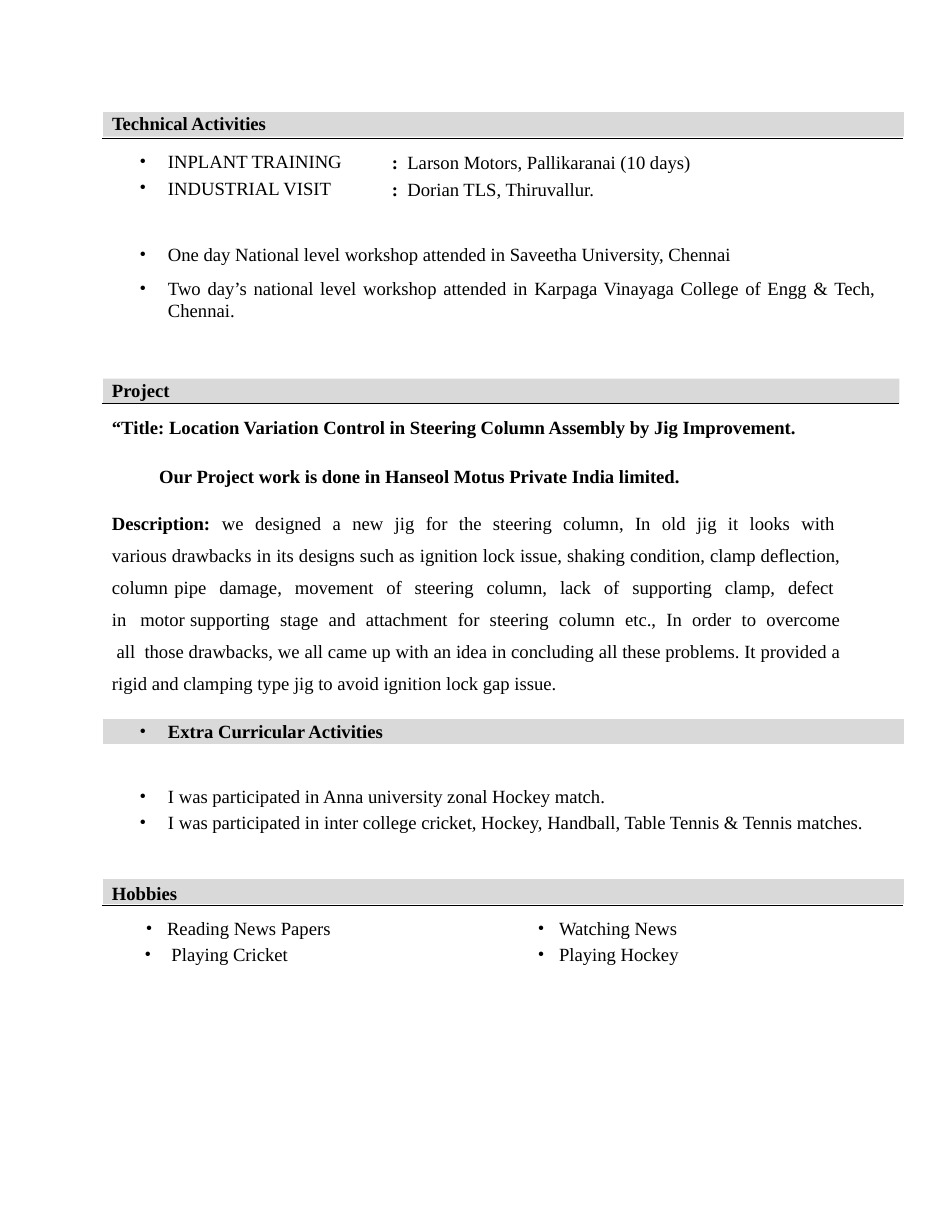
import pptx
import pptx.util
import pptx.dml.color
import pptx.enum.shapes
import pptx.enum.text
import pptx.oxml.ns
import lxml.etree
from dataclasses import dataclass

Cm, Pt = pptx.util.Cm, pptx.util.Pt
RGB = pptx.dml.color.RGBColor
ALIGN = pptx.enum.text.PP_ALIGN
ANCHOR = pptx.enum.text.MSO_ANCHOR
qn = pptx.oxml.ns.qn


@dataclass
class Theme:
    font: str = "Times New Roman"
    size: float = 12
    rule_width: float = 0.48
    ink: RGB = RGB(0, 0, 0)
    band: RGB = RGB(0xD9, 0xD9, 0xD9)


theme = Theme()


def write(tf, lines, indent=0.2, hang=0.0, bullet=True, before=0.0, bold=False,
          lead="", align=ALIGN.LEFT):
    """Fill a frame; hang is the hanging indent, lead a bold opening on each line."""
    tf.margin_left = tf.margin_right = tf.margin_top = tf.margin_bottom = 0
    tf.word_wrap = True
    tf.auto_size = pptx.enum.text.MSO_AUTO_SIZE.NONE
    for i, line in enumerate(lines):
        p = tf.paragraphs[0] if i == 0 else tf.add_paragraph()
        p.alignment = align
        p.space_before = Pt(before if i else 0)
        for text, heavy in ((lead, True), (line, bold)):
            if text:
                r = p.add_run()
                r.text = text
                r.font.name, r.font.size = theme.font, Pt(theme.size)
                r.font.bold, r.font.color.rgb = heavy, theme.ink
                r._r.get_or_add_rPr().set("kern", "0")
        pPr = p._p.get_or_add_pPr()
        pPr.set("marL", str(Cm(indent)))
        pPr.set("indent", str(-Cm(hang)))
        if hang and bullet:
            lxml.etree.SubElement(pPr, qn("a:buFont")).set("typeface", theme.font)
            lxml.etree.SubElement(pPr, qn("a:buChar")).set("char", "•")
        else:
            lxml.etree.SubElement(pPr, qn("a:buNone"))


def add_text(left, top, width, height, lines, **style):
    tf = s.shapes.add_textbox(Cm(left), Cm(top), Cm(width), Cm(height)).text_frame
    write(tf, lines, **style)
    return tf


prs = pptx.Presentation()
prs.slide_width, prs.slide_height = Cm(21.59), Cm(27.94)
s = prs.slides.add_slide(prs.slide_layouts[5])

# Section bands: heading, top, width, bulleted, gap to the rule, anchor
left, band_height = 2.34, 0.56
sections = [
    ("Technical Activities", 2.54, 18.16, False, 0.6, ANCHOR.TOP),
    ("Project", 8.59, 18.06, False, 0.55, ANCHOR.TOP),
    ("Extra Curricular Activities", 16.31, 18.16, True, None, ANCHOR.MIDDLE),
    ("Hobbies", 19.94, 18.16, False, 0.6, ANCHOR.BOTTOM),
]
for heading, top, width, bulleted, gap, anchor in sections:
    if heading == sections[0][0]:
        sp = s.shapes.title
        sp.left, sp.top, sp.width, sp.height = Cm(left), Cm(top), Cm(width), Cm(band_height)
    else:
        sp = s.shapes.add_shape(pptx.enum.shapes.MSO_SHAPE.RECTANGLE,
                                Cm(left), Cm(top), Cm(width), Cm(band_height))
        sp.shadow.inherit = False
    sp.fill.solid()
    sp.fill.fore_color.rgb = theme.band
    sp.line.fill.background()
    write(sp.text_frame, [heading], bold=True,
          indent=1.47 if bulleted else 0.2, hang=0.64 if bulleted else 0)
    sp.text_frame.vertical_anchor = anchor
    if gap:
        y = Cm(top + gap)
        rule = s.shapes.add_connector(pptx.enum.shapes.MSO_CONNECTOR.STRAIGHT,
                                      Cm(left - 0.03), y, Cm(left + width - 0.02), y)
        rule.line.color.rgb = theme.ink
        rule.line.width = Pt(theme.rule_width)
        lxml.etree.SubElement(rule._element.spPr, qn("a:effectLst"))

# Technical activities
add_text(3.15, 3.41, 4.67, 1.12, ["INPLANT TRAINING", "INDUSTRIAL VISIT"],
         indent=0.66, hang=0.64, before=2.4)
add_text(8.86, 3.43, 7.5, 1.1,
         ["\tLarson Motors, Pallikaranai (10 days)", "\tDorian TLS, Thiruvallur."],
         indent=0.38, hang=0.35, bullet=False, before=2.4, lead=":")
tf = add_text(3.15, 5.51, 16.73, 1.78,
              ["One day National level workshop attended in Saveetha University, Chennai",
               "Two day’s national level workshop attended in Karpaga Vinayaga College "
               "of Engg & Tech, Chennai."],
              indent=0.66, hang=0.64, before=8.3, align=ALIGN.JUSTIFY)
tf.paragraphs[1].line_spacing = Pt(13.7)

# Project title, host and description
add_text(left, 9.44, 18.06, 0.5,
         ["“Title: Location Variation Control in Steering Column Assembly "
          "by Jig Improvement."], bold=True)
add_text(left, 10.55, 18.06, 0.5,
         ["Our Project work is done in Hanseol Motus Private India limited."],
         indent=1.27, bold=True)
description = (
    "we  designed  a  new  jig  for  the  steering  column,  In  old  jig  it  looks  with  "
    "various drawbacks in its designs such as ignition lock issue, shaking condition, "
    "clamp deflection, column pipe  damage,  movement  of  steering  column,  lack  of  "
    "supporting  clamp,  defect  in\u00a0\u00a0\u00a0motor supporting  stage  and  "
    "attachment  for  steering  column  etc.,  In  order  to  overcome "
    "\u00a0all\u00a0\u00a0those drawbacks, we all came "
    "up with an idea in concluding all these problems. It provided a rigid and clamping "
    "type jig to avoid ignition lock gap issue.")
tf = add_text(left, 11.39, 16.75, 4.5, [description], lead="Description:  ",
              align=ALIGN.JUSTIFY)
tf.paragraphs[0].line_spacing = 1.43

# Extra curricular activities
add_text(left, 17.81, 18.16, 1.1,
         ["I was participated in Anna university zonal Hockey match.",
          "I was participated in inter college cricket, Hockey, Handball, Table Tennis "
          "& Tennis matches."],
         indent=1.47, hang=0.64, before=2.2)

# Hobbies in two columns
for x, hobbies in ((3.25, ["Reading News Papers", "Playing Cricket"]),
                   (12.14, ["Watching News", "Playing Hockey"])):
    tf = add_text(x, 20.8, 4.4, 1.12, hobbies, indent=0.54, hang=0.48, before=2.2)
    if "Playing Cricket" in hobbies:
        pPr = tf.paragraphs[1]._p.get_or_add_pPr()
        pPr.set("marL", str(Cm(0.64)))
        pPr.set("indent", str(-Cm(0.61)))

prs.save("out.pptx")
